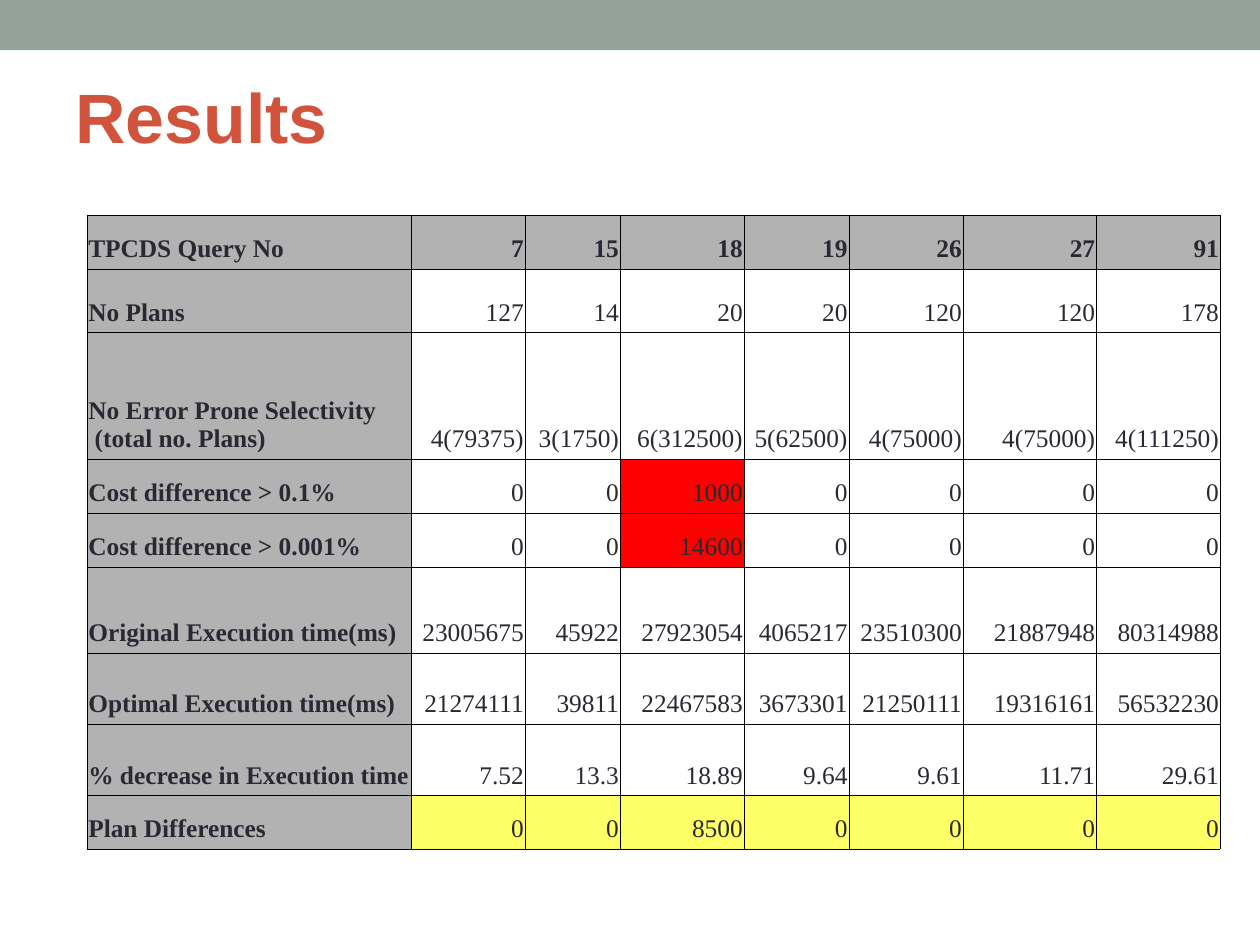
from lxml import etree
from pptx import Presentation
from pptx.dml.color import RGBColor
from pptx.enum import shapes, text
from pptx.oxml import ns
from pptx.util import Pt

WIDTH, HEIGHT = 793.75, 595.25

SAGE = RGBColor(0x93, 0xA2, 0x99)
RUST = RGBColor(0xD2, 0x53, 0x3C)
INK = RGBColor(0x29, 0x29, 0x34)
GREY = RGBColor(0xB2, 0xB2, 0xB2)
RED = RGBColor(0xFF, 0x00, 0x00)
YELLOW = RGBColor(0xFF, 0xFF, 0x66)
BLACK = RGBColor(0x00, 0x00, 0x00)

COLUMN_WIDTHS = [204, 72, 60, 78, 66, 72, 84, 78]
ROW_HEIGHTS = [34, 40, 79.6, 34, 34, 54.4, 44.8, 44.8, 34]
RESULTS = [
    ["TPCDS Query No", "7", "15", "18", "19", "26", "27", "91"],
    ["No Plans", "127", "14", "20", "20", "120", "120", "178"],
    ["No Error Prone Selectivity\v (total no. Plans)", "4(79375)", "3(1750)",
     "6(312500)", "5(62500)", "4(75000)", "4(75000)", "4(111250)"],
    ["Cost difference > 0.1%", "0", "0", "1000", "0", "0", "0", "0"],
    ["Cost difference > 0.001%", "0", "0", "14600", "0", "0", "0", "0"],
    ["Original Execution time(ms)", "23005675", "45922", "27923054",
     "4065217", "23510300", "21887948", "80314988"],
    ["Optimal Execution time(ms)", "21274111", "39811", "22467583",
     "3673301", "21250111", "19316161", "56532230"],
    ["% decrease in Execution time", "7.52", "13.3", "18.89", "9.64",
     "9.61", "11.71", "29.61"],
    ["Plan Differences", "0", "0", "8500", "0", "0", "0", "0"],
]
RED_CELLS = {(3, 3), (4, 3)}
LAST_ROW = len(RESULTS) - 1


def cell_colour(row, column):
    """Grey headings, red cost outliers, yellow plan differences."""
    if row == 0 or column == 0:
        return GREY
    if (row, column) in RED_CELLS:
        return RED
    return YELLOW if row == LAST_ROW else None


class ResultsPage:
    heading_font = "Arial"
    table_font = "Times New Roman"

    def __init__(self, deck):
        self.page = deck.slides.add_slide(deck.slide_layouts[5])

    def style_text(self, frame, font, size, colour, bold):
        for para in frame.paragraphs:
            for span in para.runs:
                span.font.name = font
                span.font.size = Pt(size)
                span.font.color.rgb = colour
                span.font.bold = bold

    def title(self, words, left, top, width, height):
        box = self.page.shapes.title
        box.left, box.top = Pt(left), Pt(top)
        box.width, box.height = Pt(width), Pt(height)
        frame = box.text_frame
        frame.text = words
        frame.word_wrap = True
        frame.auto_size = text.MSO_AUTO_SIZE.NONE
        frame.vertical_anchor = text.MSO_ANCHOR.MIDDLE
        frame.margin_left = frame.margin_right = Pt(8)
        frame.margin_top, frame.margin_bottom = Pt(3), Pt(4)
        frame.paragraphs[0].alignment = text.PP_ALIGN.LEFT
        self.style_text(frame, self.heading_font, 44, RUST, True)

    def band(self, height):
        bar = self.page.shapes.add_shape(
            shapes.MSO_SHAPE.RECTANGLE, 0, 0, Pt(WIDTH), Pt(height))
        bar.shadow.inherit = False
        bar.fill.solid()
        bar.fill.fore_color.rgb = SAGE
        bar.line.fill.background()
        # The band lies behind the title
        self.page.shapes.title.element.addprevious(bar.element)

    def table(self, rows, left, top):
        frame = self.page.shapes.add_table(
            len(rows), len(rows[0]), Pt(left), Pt(top),
            Pt(sum(COLUMN_WIDTHS)), Pt(sum(ROW_HEIGHTS)))
        grid = frame.table
        grid.first_row = grid.horz_banding = False
        for column, width in zip(grid.columns, COLUMN_WIDTHS):
            column.width = Pt(width)
        for line, height in zip(grid.rows, ROW_HEIGHTS):
            line.height = Pt(height)
        for row, values in enumerate(rows):
            for column, value in enumerate(values):
                self.cell(grid.cell(row, column), value,
                          cell_colour(row, column), column > 0,
                          row == 0 or column == 0)

    def cell(self, cell, value, colour, is_value, bold):
        self.borders(cell)
        if colour is None:
            cell.fill.background()
        else:
            cell.fill.solid()
            cell.fill.fore_color.rgb = colour
        cell.vertical_anchor = text.MSO_ANCHOR.BOTTOM
        cell.margin_left = cell.margin_right = Pt(0.9)
        cell.margin_top = cell.margin_bottom = Pt(3.6)
        cell.text_frame.text = value
        cell.text_frame.paragraphs[0].alignment = (
            text.PP_ALIGN.RIGHT if is_value else text.PP_ALIGN.LEFT)
        self.style_text(cell.text_frame, self.table_font, 16, INK, bold)

    def borders(self, cell):
        properties = cell._tc.get_or_add_tcPr()
        for side in ("a:lnL", "a:lnR", "a:lnT", "a:lnB"):
            edge = etree.SubElement(properties, ns.qn(side), w=str(Pt(0.23)))
            fill = etree.SubElement(edge, ns.qn("a:solidFill"))
            etree.SubElement(fill, ns.qn("a:srgbClr"), val=str(BLACK))


def main():
    deck = Presentation()
    deck.slide_width, deck.slide_height = Pt(WIDTH), Pt(HEIGHT)
    results = ResultsPage(deck)

    # Heading
    results.band(31.7)
    results.title("Results", 39.6, 23.8, 714.4, 99.2)

    # Query measurements
    results.table(RESULTS, 54.8, 135.4)

    deck.save("out.pptx")


if __name__ == "__main__":
    main()
